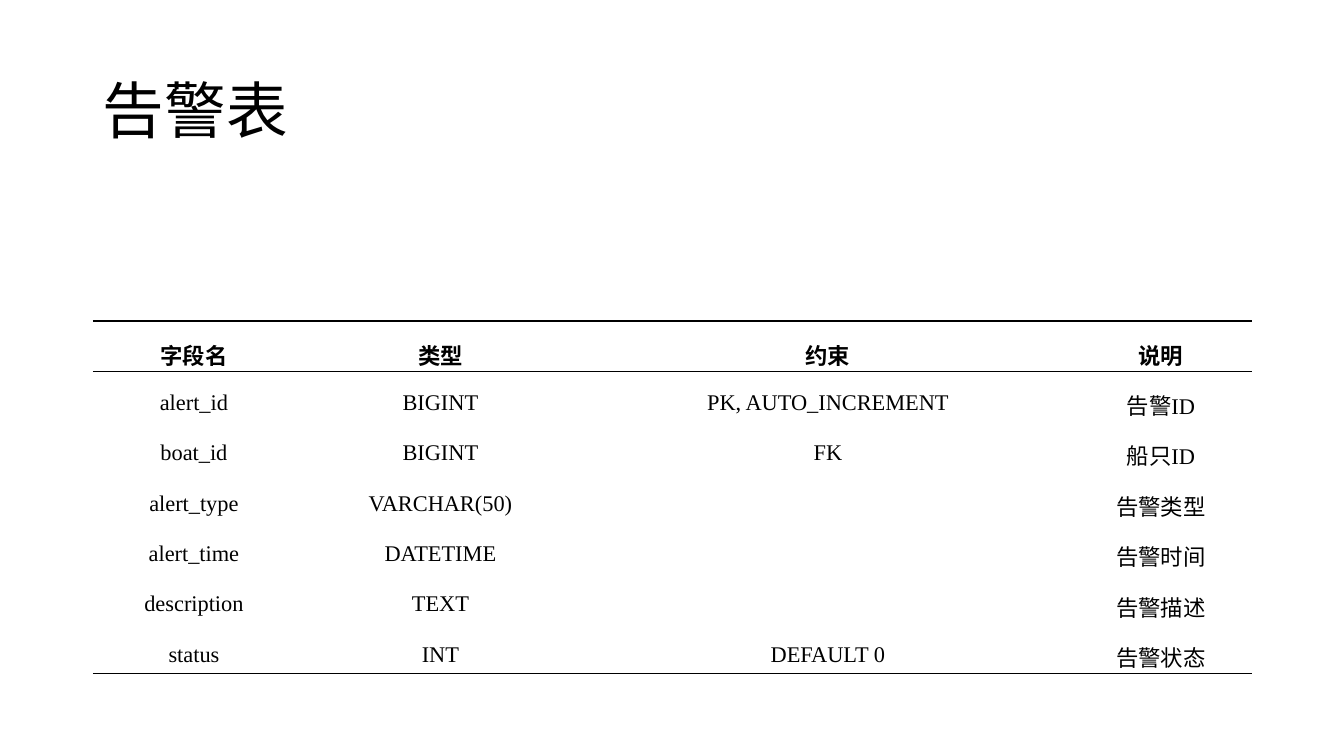
from lxml.etree import SubElement
from pptx import Presentation
from pptx.dml.color import RGBColor
from pptx.enum.text import MSO_ANCHOR as Anchor, PP_ALIGN as Align
from pptx.oxml.ns import qn
from pptx.util import Emu, Pt

TITLE = "告警表"
FIELDS = [
    ("字段名", "类型", "约束", "说明"),
    ("alert_id", "BIGINT", "PK, AUTO_INCREMENT", "告警ID"),
    ("boat_id", "BIGINT", "FK", "船只ID"),
    ("alert_type", "VARCHAR(50)", "", "告警类型"),
    ("alert_time", "DATETIME", "", "告警时间"),
    ("description", "TEXT", "", "告警描述"),
    ("status", "INT", "DEFAULT 0", "告警状态"),
]
COLORS = {"ink": "000000"}
FONT = "Times New Roman"
PLAIN_STYLE = "{2D5ABB26-0587-4C30-8999-92F81FD0307C}"  # no style, no grid

EMU_PER_PX = 9071
SLIDE = (1344, 756)
TITLE_BOX = (93, 41, 1159, 146)
TABLE_LEFT, TABLE_TOP, TABLE_HEIGHT = 93, 321, 353
COLUMN_WIDTHS = (202, 291, 484, 182)
CELL_FORMAT = {
    "vertical_anchor": Anchor.MIDDLE,
    **{f"margin_{side}": Emu(EMU_PER_PX) for side in ("left", "right", "top", "bottom")},
}


def px(length):
    return Emu(length * EMU_PER_PX)


def write(paragraph, text, size, bold, **layout):
    for name, value in layout.items():
        setattr(paragraph, name, value)
    if not text:
        return
    run = paragraph.add_run()
    run.text = text
    for name, value in {"name": FONT, "size": Pt(size), "bold": bold}.items():
        setattr(run.font, name, value)
    run.font.color.rgb = RGBColor.from_string(COLORS["ink"])


def rule(cell, edge):
    """Draw a 1 pt line on one edge of a cell: lnT or lnB."""
    line = SubElement(cell._tc.get_or_add_tcPr(), qn(f"a:{edge}"), w=str(Pt(1)))
    fill = SubElement(line, qn("a:solidFill"))
    SubElement(fill, qn("a:srgbClr"), val=COLORS["ink"])


def add_title(slide):
    frame = slide.shapes.add_textbox(*map(px, TITLE_BOX)).text_frame
    frame.word_wrap = True
    frame.vertical_anchor = Anchor.MIDDLE
    write(frame.paragraphs[0], TITLE, 44, False, line_spacing=0.9)


def add_fields(slide):
    # add_table shares the height equally among the rows
    table = slide.shapes.add_table(
        len(FIELDS), len(COLUMN_WIDTHS), px(TABLE_LEFT), px(TABLE_TOP),
        px(sum(COLUMN_WIDTHS)), px(TABLE_HEIGHT)).table
    table.horz_banding = table.first_row = False
    table._tbl.tblPr.find(qn("a:tableStyleId")).text = PLAIN_STYLE
    for column, width in zip(table.columns, COLUMN_WIDTHS):
        column.width = px(width)

    ruled_edges = {0: ("lnT", "lnB"), len(FIELDS) - 1: ("lnB",)}
    for r, field in enumerate(FIELDS):
        for c, text in enumerate(field):
            cell = table.cell(r, c)
            for name, value in CELL_FORMAT.items():
                setattr(cell, name, value)
            for edge in ruled_edges.get(r, ()):
                rule(cell, edge)
            cell.fill.background()
            write(cell.text_frame.paragraphs[0], text, 16, r == 0,
                  alignment=Align.CENTER, line_spacing=1.5)


def main():
    deck = Presentation()
    deck.slide_width, deck.slide_height = map(px, SLIDE)
    slide = deck.slides.add_slide(deck.slide_layouts[6])
    add_title(slide)
    add_fields(slide)
    deck.save("out.pptx")


if __name__ == "__main__":
    main()
